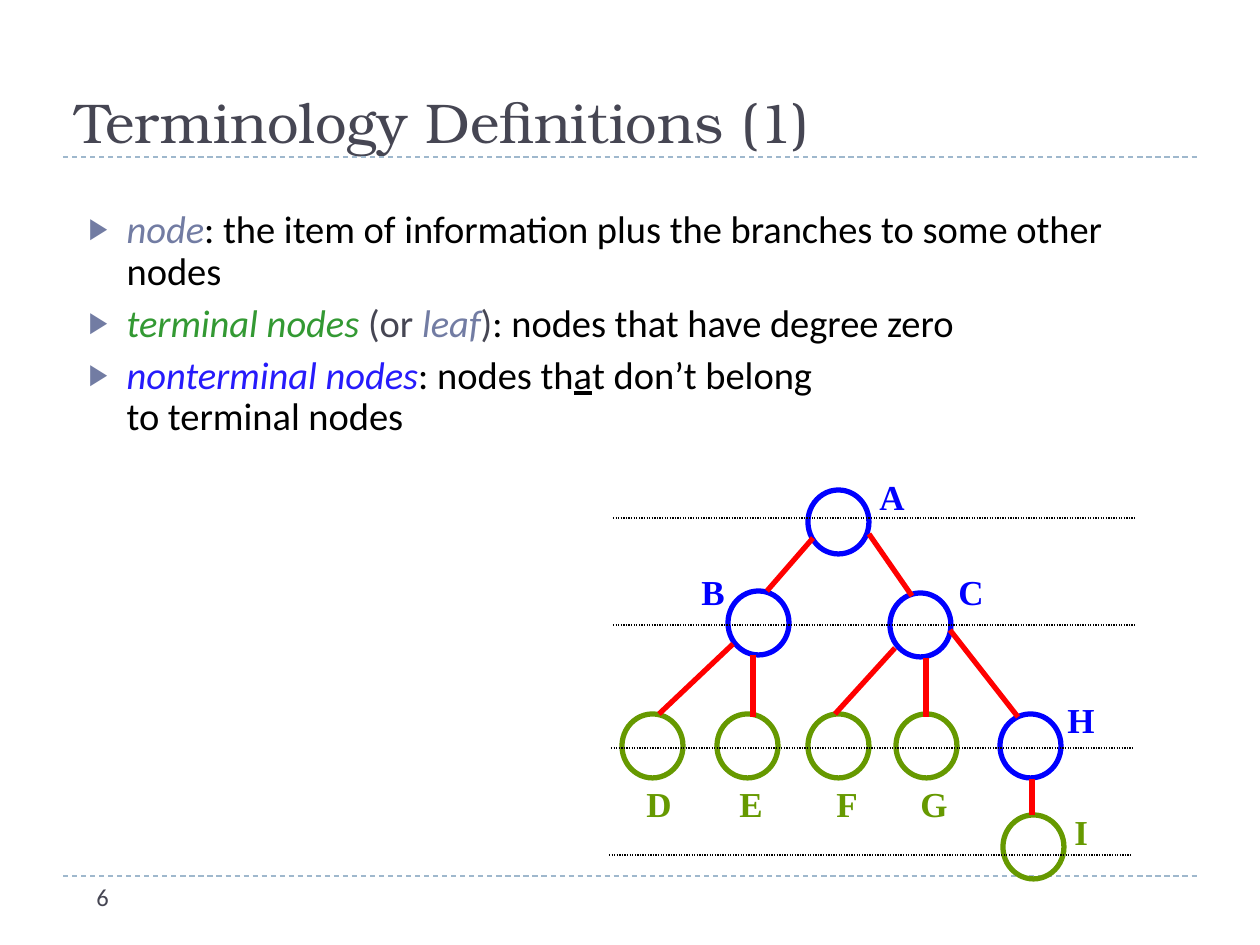
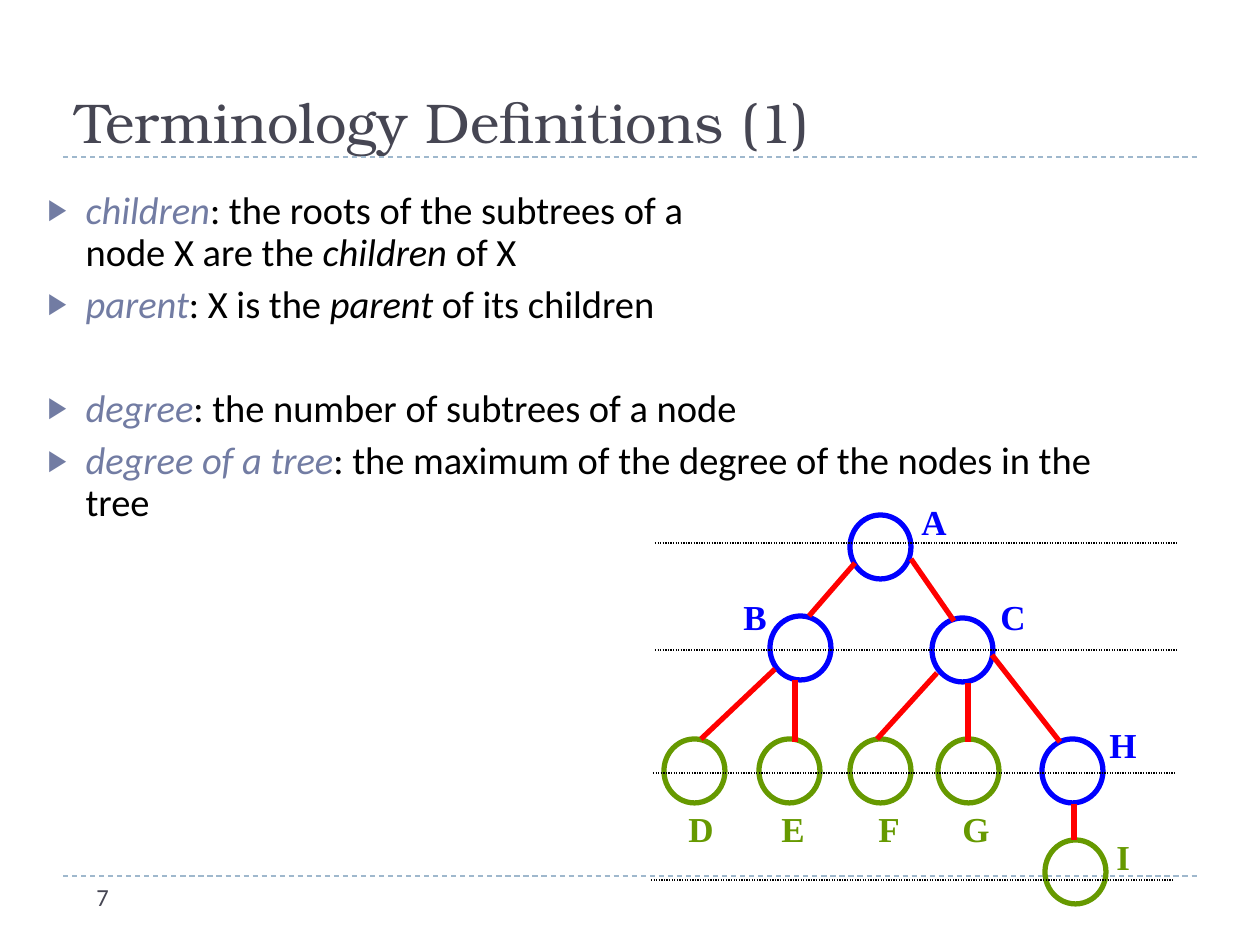
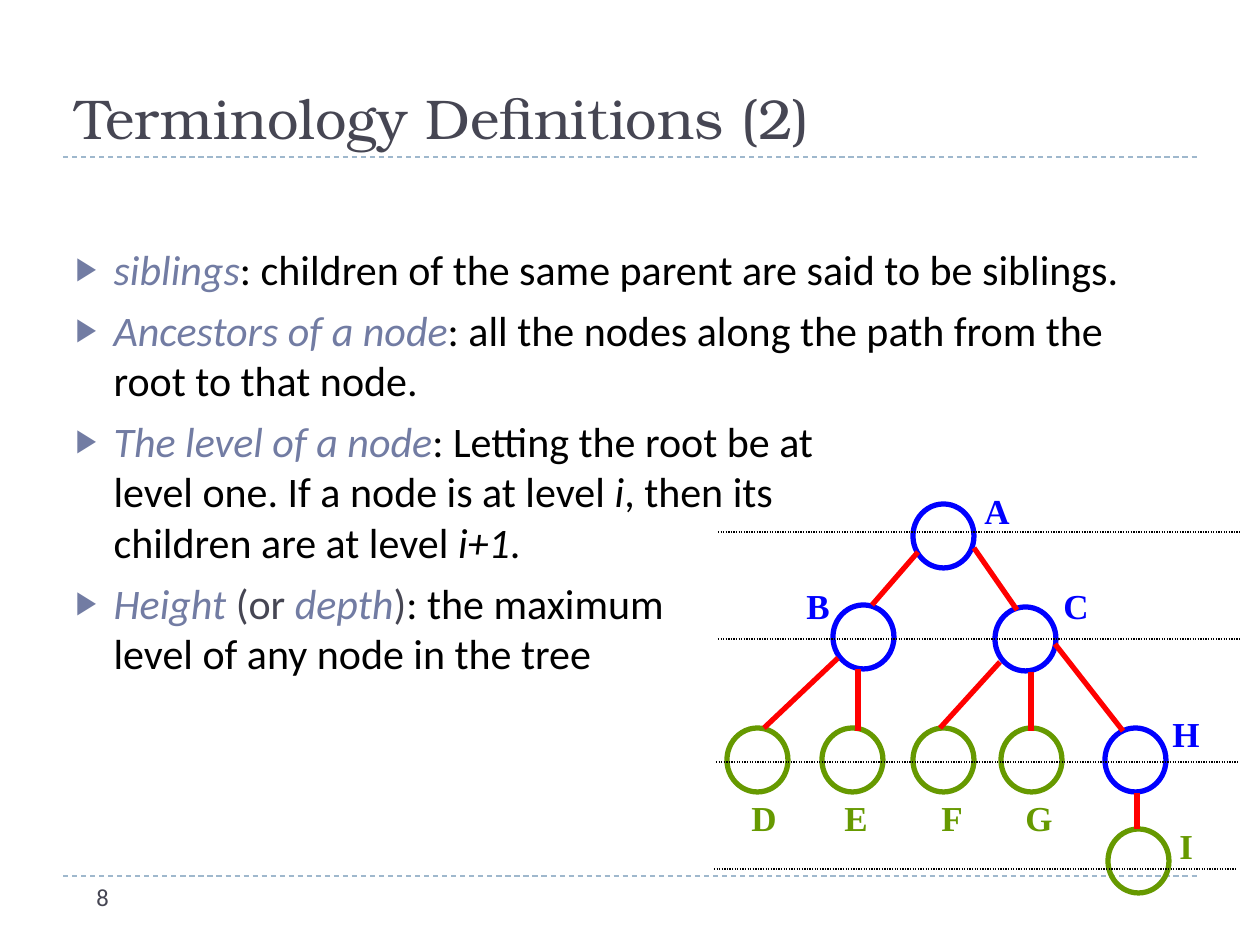
from collections import namedtuple
from dataclasses import dataclass

from lxml.etree import SubElement
from pptx import Presentation
from pptx.dml.color import RGBColor
from pptx.enum.dml import MSO_LINE
from pptx.enum.shapes import MSO_CONNECTOR, MSO_SHAPE
from pptx.enum.text import MSO_ANCHOR, MSO_AUTO_SIZE, PP_ALIGN
from pptx.oxml.ns import qn
from pptx.util import Emu, Pt

PX_PER_INCH = 126


@dataclass(frozen=True)
class Theme:
    heading: str = "464653"
    text: str = "000000"
    accent: str = "727CA3"
    terminal: str = "339933"
    nonterminal: str = "261BFB"
    rule: str = "9FB8CD"
    inner_node: str = "0000FF"
    leaf_node: str = "669900"
    branch: str = "FF0000"
    title_font: str = "TeX Gyre Bonum"
    body_font: str = "Calibri"
    label_font: str = "Times New Roman"
    title_size: int = 32
    label_size: int = 20
    number_size: int = 14
    thin: float = 0.75
    thick: float = 3


THEME = Theme()

Tone = namedtuple("Tone", "color italic underline", defaults=(False, False))
PLAIN = Tone(THEME.text)
EMPHASIS = Tone(THEME.text, italic=True)
UNDERLINED = Tone(THEME.text, underline=True)
TERM = Tone(THEME.accent, italic=True)
TERMINAL = Tone(THEME.terminal, italic=True)
NONTERMINAL = Tone(THEME.nonterminal, italic=True)
ASIDE = Tone(THEME.heading)

Item = namedtuple("Item", "runs space_before", defaults=(6,))
Definitions = namedtuple("Definitions", "number title title_box body_box size line_spacing tree_origin items")
Node = namedtuple("Node", "name left top label_left label_top label_width color")

NODE_WIDTH, NODE_HEIGHT, LABEL_HEIGHT = 61, 64, 54
LEVEL_LENGTH = 523
LEAF_TOP, LEAF_LABEL_TOP = 246, 308

# Tree positions are relative to its top left corner.
NODES = [
    Node("A", 200, 22, 259, 1, 50, THEME.inner_node),
    Node("B", 120, 123, 81, 96, 49, THEME.inner_node),
    Node("C", 282, 125, 338, 96, 50, THEME.inner_node),
    Node("D", 14, LEAF_TOP, 26, LEAF_LABEL_TOP, 50, THEME.leaf_node),
    Node("E", 109, LEAF_TOP, 119, LEAF_LABEL_TOP, 49, THEME.leaf_node),
    Node("F", 200, LEAF_TOP, 216, LEAF_LABEL_TOP, 47, THEME.leaf_node),
    Node("G", 288, LEAF_TOP, 300, LEAF_LABEL_TOP, 53, THEME.leaf_node),
    Node("H", 392, LEAF_TOP, 447, 224, 53, THEME.inner_node),
    Node("I", 395, 347, 454, 336, 39, THEME.leaf_node),
]
BRANCHES = [
    (205, 70, 159, 123),
    (261, 66, 304, 128),
    (125, 176, 51, 246),
    (145, 187, 145, 249),
    (287, 180, 227, 246),
    (318, 190, 318, 249),
    (342, 162, 410, 249),
    (424, 311, 424, 347),
]
LEVELS = [(5, 50), (5, 157), (3, 280), (1, 387)]

SLIDES = [
    Definitions(6, "Terminology Definitions (1)", (63, 38, 1040, 123), (76, 204, 1130, 529), 22, 0.9, (608, 468), [
        Item([("node", TERM), (": the item of information plus the branches to some other nodes", PLAIN)]),
        Item([("terminal nodes ", TERMINAL), ("(or ", ASIDE), ("leaf", TERM), (")", ASIDE),
              (": nodes that have degree zero", PLAIN)]),
        Item([("nonterminal nodes", NONTERMINAL), (": nodes th", PLAIN), ("a", UNDERLINED),
              ("t don’t belong \nto terminal nodes", PLAIN)]),
    ]),
    Definitions(7, "Terminology Definitions (1)", (63, 38, 1040, 123), (35, 185, 1130, 529), 22, 0.9, (650, 493), [
        Item([("children", TERM), (": the roots of the subtrees of a \nnode X are the ", PLAIN),
              ("children", EMPHASIS), (" of X", PLAIN)]),
        Item([("parent", TERM), (": X is the ", PLAIN), ("parent", EMPHASIS), (" of its children", PLAIN)]),
        Item([("degree", TERM), (": the number of subtrees of a node", PLAIN)], space_before=36),
        Item([("degree of a tree", TERM), (": the maximum of the degree of the nodes in the tree", PLAIN)]),
    ]),
    Definitions(8, "Terminology Definitions (2)", (63, 21, 1134, 136), (63, 237, 1134, 559), 24, 1.0, (713, 482), [
        Item([("siblings", TERM), (": children of the same parent are said to be siblings.", PLAIN)]),
        Item([("Ancestors of a node", TERM), (": all the nodes along the path from the root to that node.", PLAIN)]),
        Item([("The level of a node", TERM),
              (": Letting the root be at \nlevel one. If a node is at level ", PLAIN), ("i", EMPHASIS),
              (", then its\nchildren are at level ", PLAIN), ("i+1", EMPHASIS), (".", PLAIN)]),
        Item([("Height ", TERM), ("(or ", ASIDE), ("depth", TERM), (")", ASIDE),
              (": the maximum \nlevel of any node in the tree", PLAIN)]),
    ]),
]


def px(length):
    return Emu(round(length * 914400 / PX_PER_INCH))


def place(shape, box):
    shape.left, shape.top, shape.width, shape.height = map(px, box)


def set_font(font, name, size, color, bold=False):
    font.name, font.size, font.bold = name, Pt(size), bold
    font.color.rgb = RGBColor.from_string(color)


def add_line(shapes, ends, color, width, dash=None):
    line = shapes.add_connector(MSO_CONNECTOR.STRAIGHT, *map(px, ends))
    line.line.color.rgb = RGBColor.from_string(color)
    line.line.width = Pt(width)
    if dash:
        line.line.dash_style = dash
    SubElement(line._element.spPr, qn("a:effectLst"))


def add_label(shapes, text, box, font, size, color, bold=False):
    label = shapes.add_textbox(*map(px, box))
    paragraph = label.text_frame.paragraphs[0]
    paragraph.text = text
    set_font(paragraph.font, font, size, color, bold)
    return label.text_frame


def fill_title(title, text, box):
    place(title, box)
    frame = title.text_frame
    frame.text = text
    frame.auto_size = MSO_AUTO_SIZE.NONE
    frame.vertical_anchor = MSO_ANCHOR.BOTTOM
    heading = frame.paragraphs[0]
    heading.alignment = PP_ALIGN.LEFT
    set_font(heading.font, THEME.title_font, THEME.title_size, THEME.heading)


def set_bullet(paragraph):
    properties = paragraph._p.get_or_add_pPr()
    properties.set("marL", str(px(38)))
    properties.set("indent", str(-px(38)))
    color = SubElement(properties, qn("a:buClr"))
    SubElement(color, qn("a:srgbClr"), val=THEME.accent)
    SubElement(properties, qn("a:buSzPct"), val="76000")
    SubElement(properties, qn("a:buFont"), typeface="Arial")
    SubElement(properties, qn("a:buChar"), char="▶")


def add_run(paragraph, text, tone):
    for index, part in enumerate(text.split("\n")):
        if index:
            paragraph.add_line_break()
        run = paragraph.add_run()
        run.text = part
        run.font.color.rgb = RGBColor.from_string(tone.color)
        run.font.italic = tone.italic
        run.font.underline = tone.underline


def fill_body(body, content):
    place(body, content.body_box)
    frame = body.text_frame
    frame.auto_size = MSO_AUTO_SIZE.NONE
    for index, item in enumerate(content.items):
        paragraph = frame.add_paragraph() if index else frame.paragraphs[0]
        paragraph.line_spacing = content.line_spacing
        paragraph.space_before = Pt(item.space_before)
        set_bullet(paragraph)
        set_font(paragraph.font, THEME.body_font, content.size, THEME.text)
        for text, tone in item.runs:
            add_run(paragraph, text, tone)


def add_frame(slide, number):
    """Add the dashed rules and the slide number."""
    for y in (157, 876):
        add_line(slide.shapes, (63, y, 1197, y), THEME.rule, THEME.thin, MSO_LINE.DASH)
    add_label(slide.shapes, str(number), (84, 876, 273, 50), THEME.body_font, THEME.number_size, THEME.heading)


def add_node(shapes, node, x, y):
    circle = shapes.add_shape(
        MSO_SHAPE.OVAL, px(x + node.left), px(y + node.top), px(NODE_WIDTH), px(NODE_HEIGHT))
    circle.shadow.inherit = False
    circle.fill.background()
    circle.line.color.rgb = RGBColor.from_string(node.color)
    circle.line.width = Pt(THEME.thick)


def add_node_label(shapes, node, x, y):
    box = (x + node.label_left, y + node.label_top, node.label_width, LABEL_HEIGHT)
    frame = add_label(shapes, node.name, box, THEME.label_font, THEME.label_size, node.color, bold=True)
    frame.word_wrap = False
    frame.auto_size = MSO_AUTO_SIZE.SHAPE_TO_FIT_TEXT


def add_tree(slide, origin):
    x, y = origin
    shapes = slide.shapes.add_group_shape().shapes
    for node in NODES:
        add_node(shapes, node, x, y)
    for x1, y1, x2, y2 in BRANCHES:
        add_line(shapes, (x + x1, y + y1, x + x2, y + y2), THEME.branch, THEME.thick)
    for node in NODES:
        add_node_label(shapes, node, x, y)
    for left, top in LEVELS:
        ends = (x + left, y + top, x + left + LEVEL_LENGTH, y + top)
        add_line(shapes, ends, THEME.text, THEME.thin, MSO_LINE.ROUND_DOT)


def add_definitions(deck, content):
    slide = deck.slides.add_slide(deck.slide_layouts[1])
    title, body = slide.placeholders
    add_frame(slide, content.number)
    fill_title(title, content.title, content.title_box)
    fill_body(body, content)
    add_tree(slide, content.tree_origin)


def main():
    deck = Presentation()
    deck.slide_width, deck.slide_height = px(1260), px(945)
    for content in SLIDES:
        add_definitions(deck, content)
    deck.save("out.pptx")


if __name__ == "__main__":
    main()
